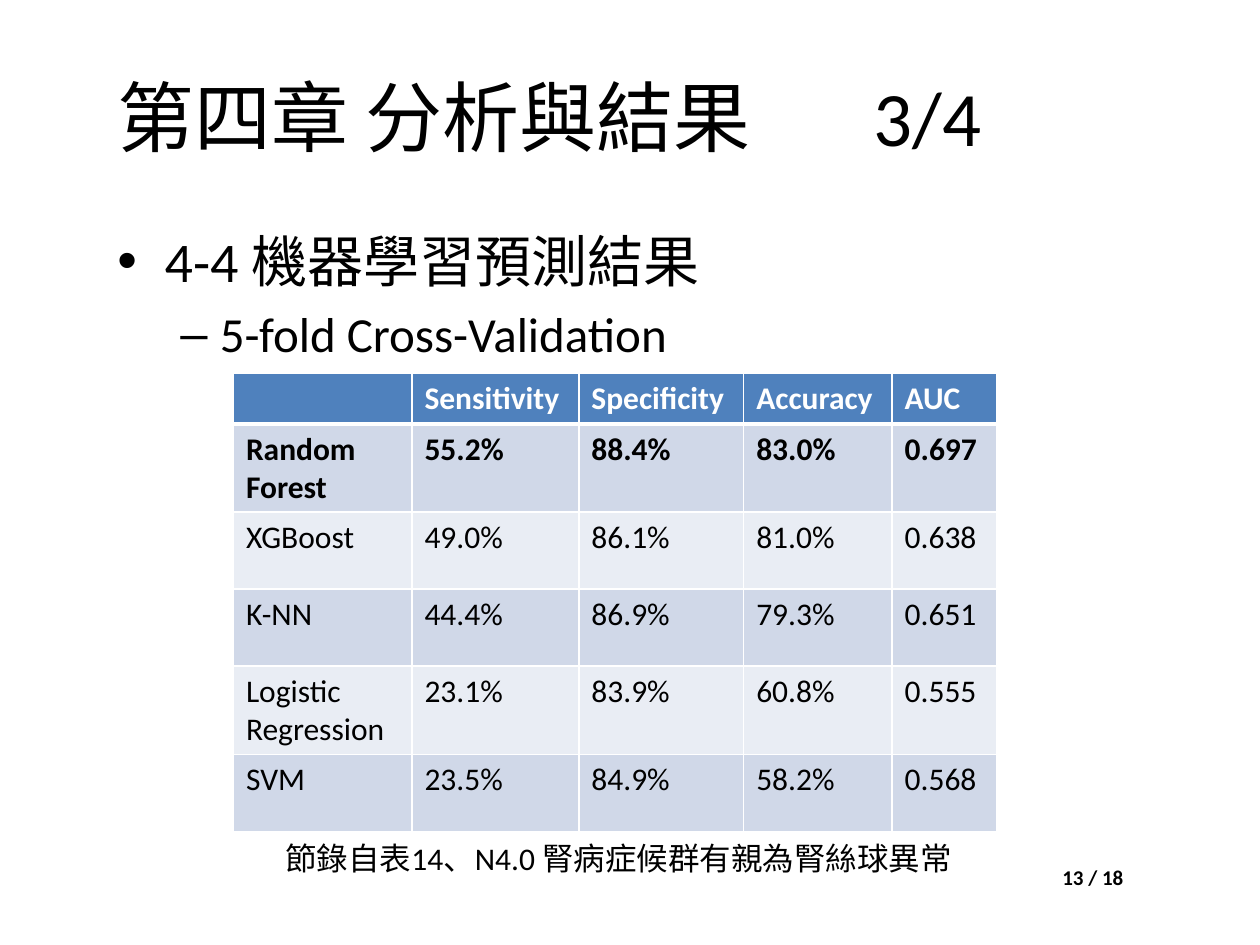
from dataclasses import dataclass

from lxml.etree import SubElement
from pptx import Presentation
from pptx.dml.color import RGBColor
from pptx.enum.text import MSO_ANCHOR
from pptx.oxml.ns import qn
from pptx.util import Pt


@dataclass(frozen=True)
class Theme:
    font: str = "Calibri"
    text: str = "000000"
    light: str = "FFFFFF"
    header: str = "4F81BD"
    bands: tuple = ("D0D8E8", "E9EDF4")
    title_size: int = 44
    topic_size: int = 32
    subtopic_size: int = 28
    small_size: int = 18
    page_size: int = 12


class SlideBuilder:
    def __init__(self, slide, theme):
        self.slide = slide
        self.theme = theme

    def run(self, paragraph, text, size, color=None, bold=False):
        run = paragraph.add_run()
        run.text = text
        run.font.name = self.theme.font
        run.font.size = Pt(size)
        run.font.bold = bold
        run.font.color.rgb = RGBColor.from_string(color or self.theme.text)

    def frame(self, left, top, width, height, anchor=MSO_ANCHOR.TOP):
        box = self.slide.shapes.add_textbox(Pt(left), Pt(top), Pt(width), Pt(height))
        box.text_frame.word_wrap = True
        box.text_frame.vertical_anchor = anchor
        return box.text_frame

    def text(self, area, text, size, bold=False, anchor=MSO_ANCHOR.TOP):
        self.run(self.frame(*area, anchor).paragraphs[0], text, size, bold=bold)

    def bullets(self, area, items):
        """Each item is (text, size, mark, margin, hanging indent)."""
        frame = self.frame(*area)
        for level, (text, size, mark, margin, hanging) in enumerate(items):
            paragraph = frame.add_paragraph() if level else frame.paragraphs[0]
            paragraph.level = level
            if level:
                paragraph.space_before = Pt(size * 0.2)
            properties = paragraph._p.get_or_add_pPr()
            properties.set("marL", str(Pt(margin)))
            properties.set("indent", str(-Pt(hanging)))
            SubElement(properties, qn("a:buFont"), typeface="Arial")
            SubElement(properties, qn("a:buChar"), char=mark)
            self.run(paragraph, text, size)

    def borders(self, cell, bottom):
        properties = cell._tc.get_or_add_tcPr()
        for side, width in (("L", 1), ("R", 1), ("T", 1), ("B", bottom)):
            line = SubElement(properties, qn(f"a:ln{side}"), w=str(Pt(width)))
            fill = SubElement(line, qn("a:solidFill"))
            SubElement(fill, qn("a:srgbClr"), val=self.theme.light)

    def table(self, left, top, widths, heights, rows, bold_rows):
        theme = self.theme
        table = self.slide.shapes.add_table(
            len(rows), len(widths), Pt(left), Pt(top), Pt(sum(widths)), Pt(sum(heights))
        ).table
        for column, width in zip(table.columns, widths):
            column.width = Pt(width)
        for r, values in enumerate(rows):
            table.rows[r].height = Pt(heights[r])
            is_header = r == 0
            band = theme.header if is_header else theme.bands[(r - 1) % 2]
            color = theme.light if is_header else theme.text
            for c, value in enumerate(values):
                cell = table.cell(r, c)
                self.borders(cell, bottom=3 if is_header else 1)
                cell.fill.solid()
                cell.fill.fore_color.rgb = RGBColor.from_string(band)
                if value:
                    self.run(cell.text_frame.paragraphs[0], value,
                             theme.small_size, color, r in bold_rows)


RESULTS = [
    ("", "Sensitivity", "Specificity", "Accuracy", "AUC"),
    ("Random Forest", "55.2%", "88.4%", "83.0%", "0.697"),
    ("XGBoost", "49.0%", "86.1%", "81.0%", "0.638"),
    ("K-NN", "44.4%", "86.9%", "79.3%", "0.651"),
    ("Logistic Regression", "23.1%", "83.9%", "60.8%", "0.555"),
    ("SVM", "23.5%", "84.9%", "58.2%", "0.568"),
]


def main():
    deck = Presentation()
    deck.slide_width, deck.slide_height = Pt(720), Pt(540)
    theme = Theme()
    builder = SlideBuilder(deck.slides.add_slide(deck.slide_layouts[6]), theme)

    # Chapter title
    builder.text((60, 21, 636, 90), "第四章 分析與結果\t\t3/4", theme.title_size,
                 anchor=MSO_ANCHOR.MIDDLE)

    # Section headings
    builder.bullets((60, 126, 636, 338), [
        ("4-4 機器學習預測結果", theme.topic_size, "•", 27, 27),
        ("5-fold Cross-Validation", theme.subtopic_size, "–", 58.5, 22.5),
    ])

    # Page number
    builder.text((600, 490.5, 100, 22), "13 / 18", theme.page_size, bold=True)

    # Prediction results and their source
    builder.table(133.4, 213.4, [102, 95.4, 94.2, 84.8, 60], [28] + [44] * 5,
                  RESULTS, bold_rows=(0, 1))
    builder.text((156, 476, 397, 29), "節錄自表14、N4.0 腎病症候群有親為腎絲球異常",
                 theme.small_size)

    deck.save("out.pptx")


if __name__ == "__main__":
    main()
